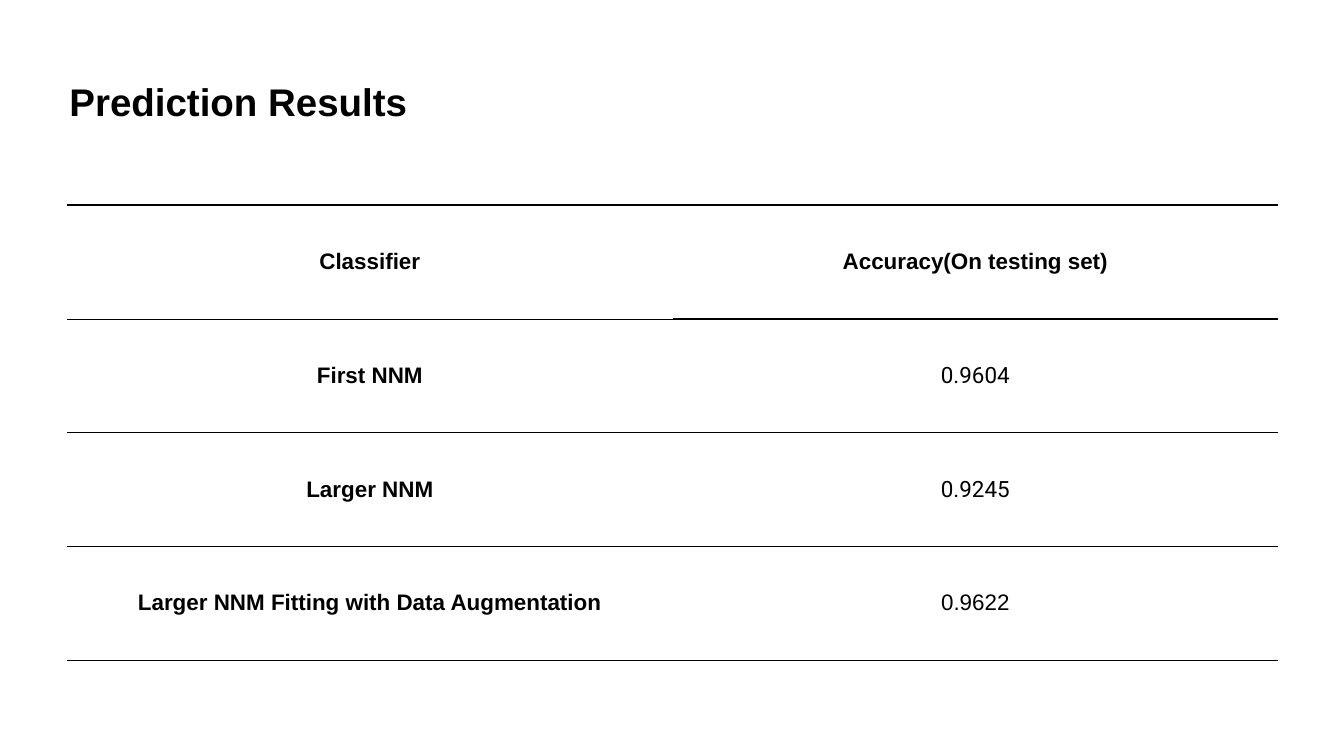
"""Build the slide that tabulates the accuracy of each classifier."""

from dataclasses import dataclass

import lxml.etree
import pptx
import pptx.dml.color
import pptx.enum.text
import pptx.oxml.ns
import pptx.table
import pptx.text.text
import pptx.util
from pptx.util import Cm

BLACK = "000000"
INSET = Cm(0.15)
THIN, THICK = 1, 3


@dataclass(frozen=True)
class Entry:
    text: str
    bold: bool = True
    font: str = "Arial"
    top: int = THIN
    bottom: int = THIN


ROWS = [
    [
        Entry("Classifier", top=THICK),
        Entry("Accuracy(On testing set)", top=THICK, bottom=THICK),
    ],
    [Entry("First NNM"), Entry("0.9604", bold=False, font="Roboto", top=THICK)],
    [Entry("Larger NNM"), Entry("0.9245", bold=False, font="Roboto")],
    [Entry("Larger NNM Fitting with Data Augmentation"), Entry("0.9622", bold=False)],
]


def color(value: str) -> pptx.dml.color.RGBColor:
    return pptx.dml.color.RGBColor.from_string(value)


def format_paragraph(
    paragraph: pptx.text.text._Paragraph,
    size: int,
    bold: bool,
    font: str,
    alignment: pptx.enum.text.PP_ALIGN,
) -> None:
    paragraph.alignment = alignment
    paragraph.font.name = font
    paragraph.font.size = pptx.util.Pt(size)
    paragraph.font.bold = bold
    paragraph.font.color.rgb = color(BLACK)


def set_border(cell: pptx.table._Cell, side: str, width: int) -> None:
    qn = pptx.oxml.ns.qn
    properties = cell._tc.get_or_add_tcPr()
    line = lxml.etree.SubElement(properties, qn(f"a:ln{side}"), w=str(pptx.util.Pt(width)))
    if width:
        fill = lxml.etree.SubElement(line, qn("a:solidFill"))
        lxml.etree.SubElement(fill, qn("a:srgbClr"), val=BLACK)
    else:
        lxml.etree.SubElement(line, qn("a:noFill"))


def fill_cell(cell: pptx.table._Cell, entry: Entry) -> None:
    cell.text = entry.text
    cell.vertical_anchor = pptx.enum.text.MSO_ANCHOR.MIDDLE
    cell.margin_left = cell.margin_right = cell.margin_top = cell.margin_bottom = INSET
    format_paragraph(
        cell.text_frame.paragraphs[0], 32, entry.bold, entry.font,
        pptx.enum.text.PP_ALIGN.CENTER,
    )
    for side, width in (("L", 0), ("R", 0), ("T", entry.top), ("B", entry.bottom)):
        set_border(cell, side, width)
    cell.fill.background()


def add_title(slide: pptx.slide.Slide, text: str) -> None:
    title = slide.shapes.title
    title.left, title.top, title.width, title.height = Cm(3.35), Cm(3.76), Cm(61.04), Cm(5.28)
    frame = title.text_frame
    frame.text = text
    frame.word_wrap = True
    frame.auto_size = pptx.enum.text.MSO_AUTO_SIZE.NONE
    frame.vertical_anchor = pptx.enum.text.MSO_ANCHOR.TOP
    frame.margin_left = frame.margin_right = frame.margin_top = frame.margin_bottom = INSET
    format_paragraph(frame.paragraphs[0], 55, True, "Arial", pptx.enum.text.PP_ALIGN.LEFT)


def add_results_table(slide: pptx.slide.Slide, rows: list[list[Entry]]) -> None:
    table = slide.shapes.add_table(
        len(rows), len(rows[0]), Cm(3.38), Cm(10.34), Cm(61.04), Cm(22.92)
    ).table
    table.first_row = table.horz_banding = False
    for row_index, row in enumerate(rows):
        for column_index, entry in enumerate(row):
            fill_cell(table.cell(row_index, column_index), entry)


def main() -> None:
    presentation = pptx.Presentation()
    presentation.slide_width, presentation.slide_height = Cm(67.74), Cm(38.1)
    slide = presentation.slides.add_slide(presentation.slide_layouts.get_by_name("Title Only"))
    add_title(slide, "Prediction Results")
    add_results_table(slide, ROWS)
    presentation.save("out.pptx")


if __name__ == "__main__":
    main()
